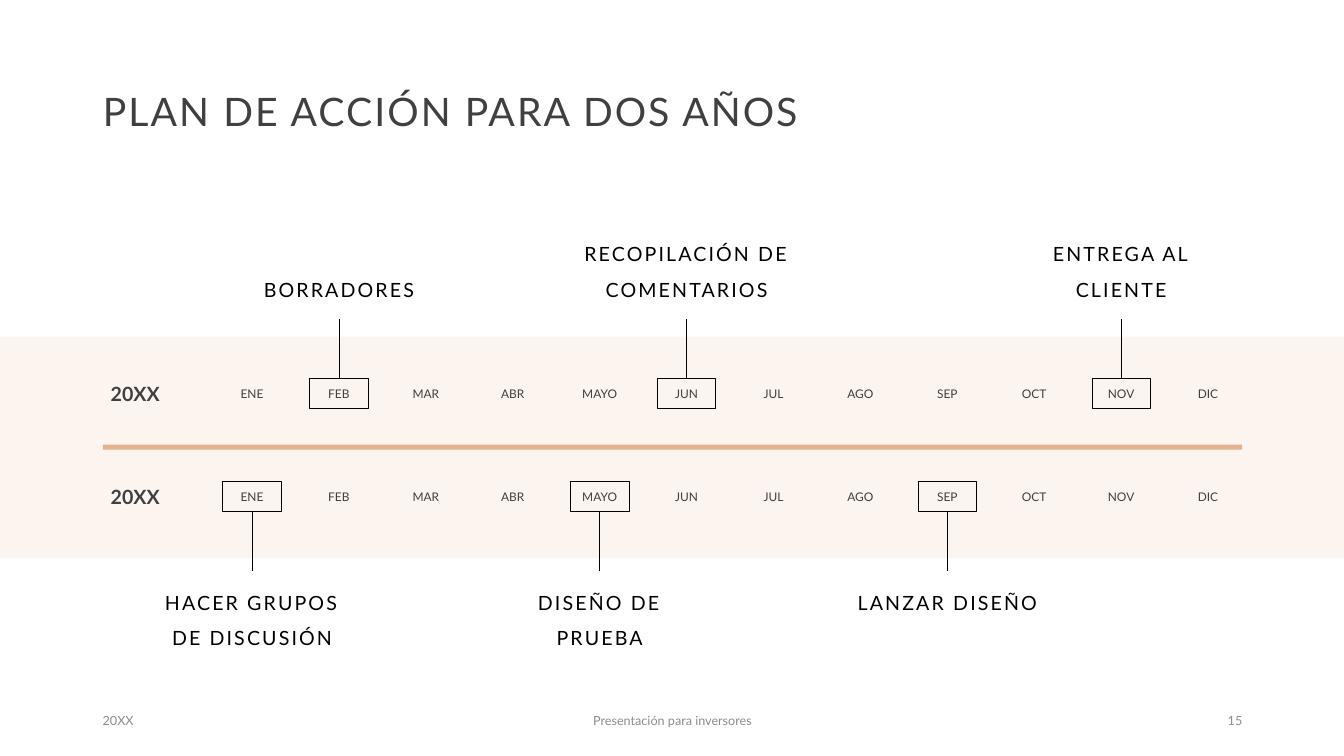
from lxml import etree
from pptx import Presentation
from pptx.dml.color import RGBColor
from pptx.enum.shapes import MSO_CONNECTOR as Connector, MSO_SHAPE as Shape
from pptx.enum.text import MSO_ANCHOR as Anchor, MSO_AUTO_SIZE as AutoSize, PP_ALIGN as Align
from pptx.oxml.ns import qn
from pptx.util import Inches, Pt

COLOURS = {"band": "FBF4EF", "rule": "E2B18D", "text": "404040",
           "ink": "000000", "footer": "8C8C8C"}
FONT = "Lato"
MONTHS = ["ENE", "FEB", "MAR", "ABR", "MAYO", "JUN",
          "JUL", "AGO", "SEP", "OCT", "NOV", "DIC"]
FIRST_YEAR = {"FEB": "BORRADORES", "JUN": "RECOPILACIÓN DE COMENTARIOS",
              "NOV": "ENTREGA AL CLIENTE"}
SECOND_YEAR = {"ENE": "HACER GRUPOS DE DISCUSIÓN", "MAYO": "DISEÑO DE PRUEBA",
               "SEP": "LANZAR DISEÑO"}

MONTH_START, MONTH_PITCH, MONTH_WIDTH = 1.35, 0.862, 0.7
MARK_WIDTH, MARK_HEIGHT, STEM = 0.58, 0.3, 0.59
LABEL_WIDTH, LABEL_HEIGHT = 2.25, 1.2


def colour(name):
    return RGBColor.from_string(COLOURS[name])


def write(box, text, size, ink, align=Align.LEFT, anchor=Anchor.TOP,
          spacing=1.0, tracking=0, bold=False):
    frame = box.text_frame
    frame.word_wrap = True
    frame.auto_size = AutoSize.NONE
    frame.vertical_anchor = anchor
    para = frame.paragraphs[0]
    para.alignment = align
    para.line_spacing = spacing
    para.space_before = Pt(0)
    run = para.add_run()
    run.text = text
    run.font.name = FONT
    run.font.size = Pt(size)
    run.font.bold = bold
    run.font.color.rgb = colour(ink)
    if tracking:
        run.font._element.set("spc", str(round(tracking * 100)))


def add_text(page, left, top, width, height, text, size, ink, **style):
    box = page.shapes.add_textbox(Inches(left), Inches(top), Inches(width), Inches(height))
    write(box, text, size, ink, **style)


def add_rectangle(page, left, top, width, height, fill=None, line=None):
    box = page.shapes.add_shape(Shape.RECTANGLE, Inches(left), Inches(top),
                                Inches(width), Inches(height))
    box.shadow.inherit = False
    if fill:
        box.fill.solid()
        box.fill.fore_color.rgb = colour(fill)
    else:
        box.fill.background()
    if line:
        box.line.color.rgb = colour(line)
        box.line.width = Pt(0.5)
    else:
        box.line.fill.background()


def add_stem(page, centre, start, end):
    stem = page.shapes.add_connector(Connector.STRAIGHT, Inches(centre), Inches(start),
                                     Inches(centre), Inches(end))
    stem.line.color.rgb = colour("ink")
    stem.line.width = Pt(0.5)
    etree.SubElement(stem._element.spPr, qn("a:effectLst"))


def add_title(page, left, top, width, height):
    title = page.shapes.title
    title.left, title.top = Inches(left), Inches(top)
    title.width, title.height = Inches(width), Inches(height)
    write(title, "PLAN DE ACCIÓN PARA DOS AÑOS", 28, "text",
          anchor=Anchor.MIDDLE, spacing=0.9, tracking=1.5)


def add_milestone(page, centre, top, label, above):
    """Frame a month and tie it to its label above or below."""
    bottom = top + MARK_HEIGHT
    add_rectangle(page, centre - MARK_WIDTH / 2, top, MARK_WIDTH, MARK_HEIGHT, line="ink")
    if above:
        add_stem(page, centre, top - STEM, top)
        label_top, anchor = top - 0.72 - LABEL_HEIGHT, Anchor.BOTTOM
    else:
        add_stem(page, centre, bottom, bottom + STEM)
        label_top, anchor = bottom + 0.62, Anchor.TOP
    add_text(page, centre - LABEL_WIDTH / 2, label_top, LABEL_WIDTH, LABEL_HEIGHT,
             label, 14, "ink", align=Align.CENTER, anchor=anchor,
             spacing=1.5, tracking=1.5)


def add_year(page, left, top, milestones, above):
    """Place one year: its name, twelve months and milestones."""
    add_text(page, left, top, 0.8, 0.5, "20XX", 14, "text",
             anchor=Anchor.MIDDLE, spacing=0.9, bold=True)
    for index, month in enumerate(MONTHS):
        month_left = left + MONTH_START - 0.2 + index * MONTH_PITCH
        add_text(page, month_left, top + 0.155, MONTH_WIDTH, 0.22, month, 8.5, "text",
                 align=Align.CENTER, spacing=0.7)
        if month in milestones:
            add_milestone(page, month_left + MONTH_WIDTH / 2, top + 0.085,
                          milestones[month], above)


def add_footer(page, left, top, width, height):
    side, middle = 3, 4.5
    parts = [(left, side, "20XX", Align.LEFT),
             (left + (width - middle) / 2, middle, "Presentación para inversores", Align.CENTER),
             (left + width - side, side, "15", Align.RIGHT)]
    for part_left, part_width, text, align in parts:
        add_text(page, part_left, top, part_width, height, text, 9, "footer",
                 align=align, anchor=Anchor.MIDDLE)


def main():
    deck = Presentation()
    deck.slide_width, deck.slide_height = Inches(13.33), Inches(7.5)
    page = deck.slides.add_slide(deck.slide_layouts[5])

    # Background band and dividing rule
    add_rectangle(page, 0, 3.34, 13.33, 2.2, fill="band")
    add_rectangle(page, 1.02, 4.41, 11.3, 0.05, fill="rule")

    # Title, two years and footer
    add_title(page, 0.92, 0.4, 11.5, 1.45)
    add_year(page, 1, 3.67, FIRST_YEAR, above=True)
    add_year(page, 1, 4.69, SECOND_YEAR, above=False)
    add_footer(page, 0.92, 6.95, 11.5, 0.4)

    deck.save("out.pptx")


if __name__ == "__main__":
    main()
